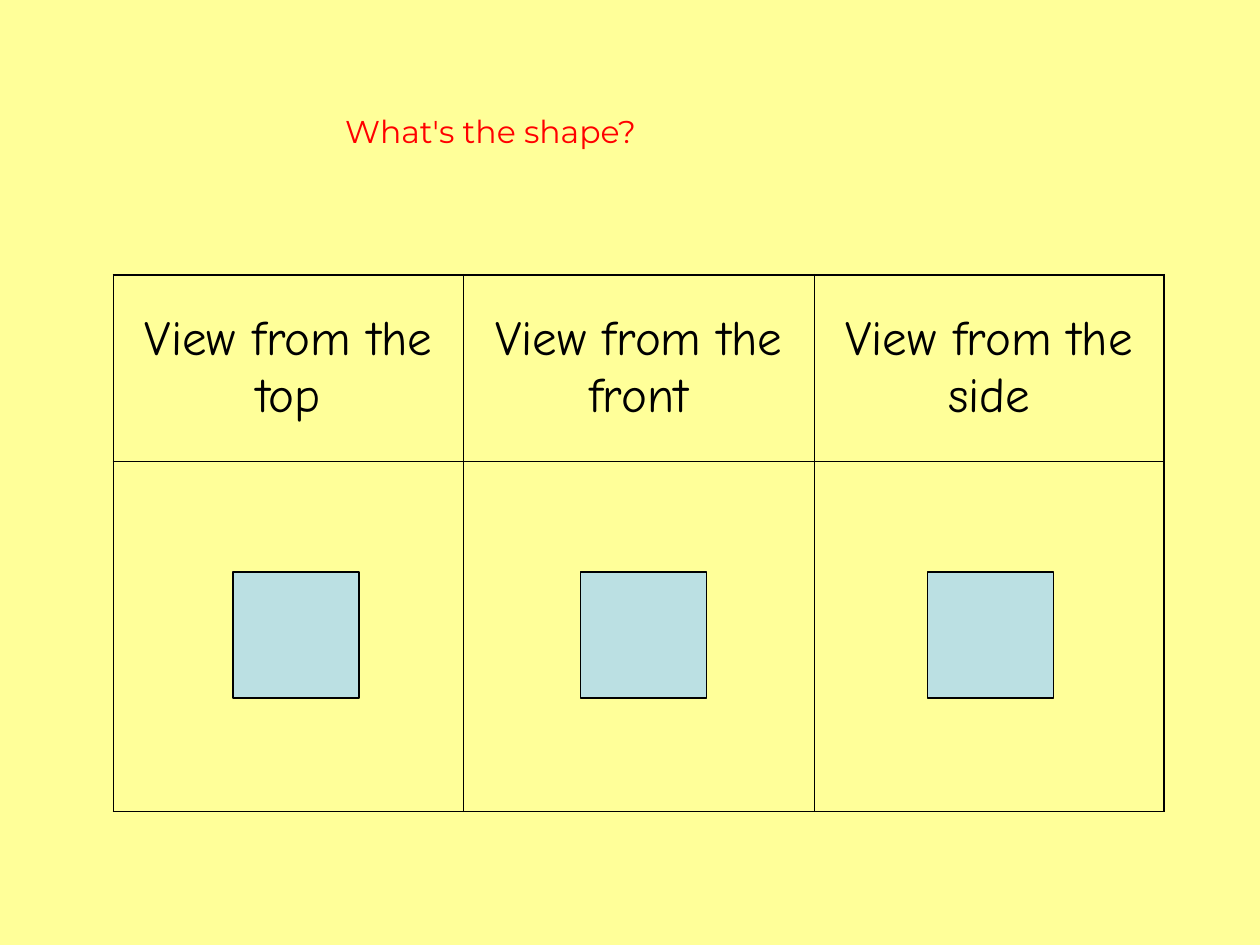
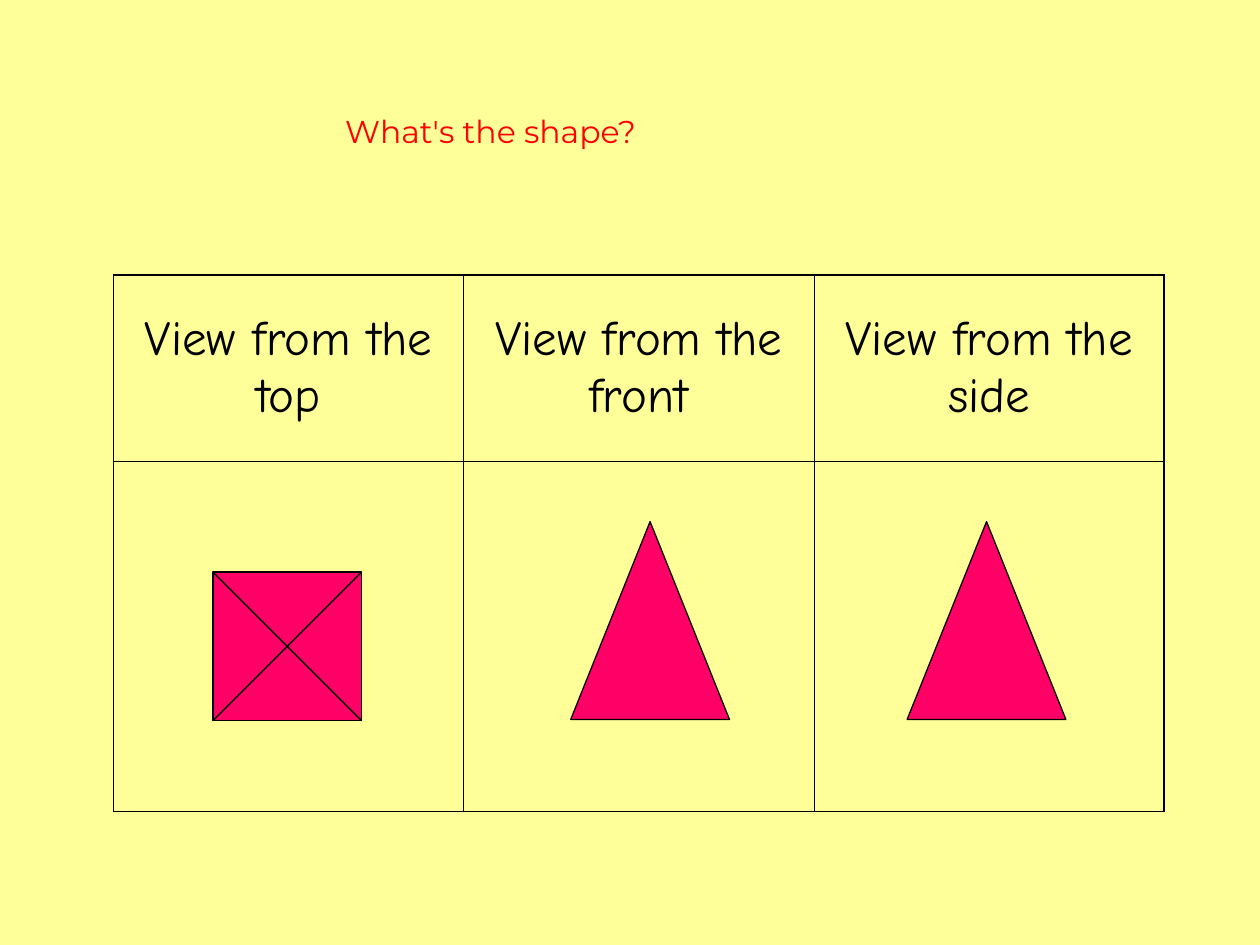
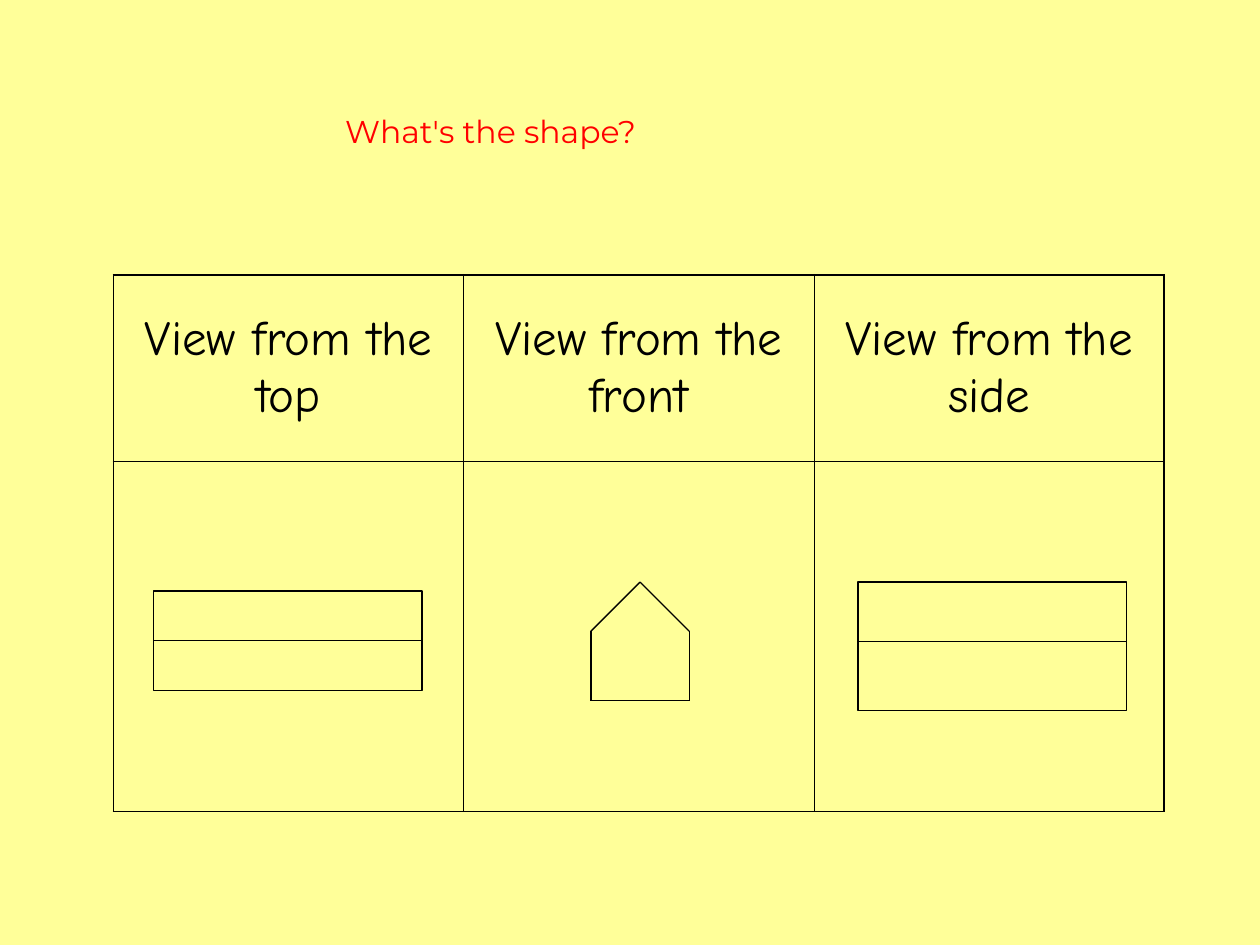
from dataclasses import dataclass
from itertools import pairwise
from typing import Optional

from lxml.etree import SubElement
from pptx import Presentation
from pptx.dml.color import RGBColor as Rgb
from pptx.enum.shapes import MSO_CONNECTOR as Conn, MSO_SHAPE as Kind
from pptx.enum.text import MSO_ANCHOR as Anchor, PP_ALIGN as Align
from pptx.oxml.ns import qn
from pptx.util import Inches, Pt


@dataclass(frozen=True)
class Theme:
    paper: Rgb = Rgb(0xFF, 0xFF, 0x99)
    ink: Rgb = Rgb(0, 0, 0)
    red: Rgb = Rgb(0xFF, 0, 0)
    blue: Rgb = Rgb(0xBB, 0xE0, 0xE3)
    pink: Rgb = Rgb(0xFF, 0, 0x66)
    title_font: str = "Montserrat"
    head_font: str = "Comic Neue"
    title_size: Pt = Pt(18)
    head_size: Pt = Pt(28)
    line: Pt = Pt(0.75)
    outer: Pt = Pt(1.08)
    inner: Pt = Pt(0.45)


THEME = Theme()
Point = tuple[float, float]


@dataclass(frozen=True)
class Face:
    left: float
    top: float
    width: float
    height: float
    fill: Rgb
    kind: Kind = Kind.RECTANGLE


@dataclass(frozen=True)
class Edge:
    start: Point
    end: Point
    host: Optional[int] = None


@dataclass(frozen=True)
class Solid:
    faces: tuple[Face, ...]
    edges: tuple[Edge, ...] = ()
    outline: tuple[Point, ...] = ()


VIEWS = ("top", "front", "side")
COL_WIDTH = 2.78
ROWS = (1.48, 2.78)

CUBE = Solid(tuple(Face(left, 4.54, 1, 1, THEME.blue) for left in (1.85, 4.61, 7.36)))
PYRAMID = Solid(
    faces=(
        Face(1.69, 4.54, 1.18, 1.18, THEME.pink),
        *(Face(left, 4.14, 1.26, 1.57, THEME.pink, Kind.ISOSCELES_TRIANGLE)
          for left in (4.53, 7.2)),
    ),
    edges=(Edge((1.69, 4.54), (2.87, 5.72)), Edge((1.69, 5.72), (2.87, 4.54))),
)
HOUSE = Solid(
    faces=(
        Face(1.22, 4.69, 2.13, 0.79, THEME.paper),
        Face(6.81, 4.62, 2.13, 1.02, THEME.paper),
    ),
    edges=(
        Edge((1.22, 5.09), (3.35, 5.09), host=0),
        Edge((6.81, 5.09), (8.94, 5.09)),
    ),
    outline=(
        (5.39, 5.56), (4.69, 5.56), (4.69, 5.01), (5.08, 4.62),
        (5.47, 5.01), (5.47, 5.56), (5.31, 5.56),
    ),
)


def style(font, name: str, size: Pt, color: Rgb) -> None:
    font.name = name
    font.size = size
    font.color.rgb = color


def add_title(slide) -> None:
    box = slide.shapes.add_textbox(Inches(2.64), Inches(0.84), Inches(4.68), Inches(0.71))
    frame = box.text_frame
    frame.word_wrap = False
    frame.text = "What's the shape?"
    style(frame.paragraphs[0].runs[0].font, THEME.title_font, THEME.title_size, THEME.red)


def set_border(cell, sides: dict[str, Pt]) -> None:
    props = cell._tc.get_or_add_tcPr()
    for spot, (side, width) in enumerate(sides.items()):
        line = SubElement(props, qn(f"a:ln{side}"), w=str(int(width)))
        fill = SubElement(line, qn("a:solidFill"))
        SubElement(fill, qn("a:srgbClr"), val=str(THEME.ink))
        props.insert(spot, line)


def add_grid(slide) -> None:
    cols = len(VIEWS)
    grid = slide.shapes.add_table(
        len(ROWS), cols, Inches(0.9), Inches(2.18),
        Inches(COL_WIDTH * cols), Inches(sum(ROWS)),
    ).table
    grid.first_row = False
    grid.horz_banding = False
    for col in grid.columns:
        col.width = Inches(COL_WIDTH)
    for row, (line, height) in enumerate(zip(grid.rows, ROWS)):
        line.height = Inches(height)
        for col, cell in enumerate(line.cells):
            cell.fill.background()
            rims = {"L": col == 0, "R": col == cols - 1,
                    "T": row == 0, "B": row == len(ROWS) - 1}
            set_border(cell, {side: THEME.outer if rim else THEME.inner
                              for side, rim in rims.items()})
    for cell, view in zip(grid.rows[0].cells, VIEWS):
        cell.vertical_anchor = Anchor.MIDDLE
        cell.text_frame.text = f"View from the {view}"
        para = cell.text_frame.paragraphs[0]
        para.alignment = Align.CENTER
        style(para.runs[0].font, THEME.head_font, THEME.head_size, THEME.ink)


def set_line(line) -> None:
    line.color.rgb = THEME.ink
    line.width = THEME.line


def add_face(shapes, face: Face):
    shape = shapes.add_shape(
        face.kind, Inches(face.left), Inches(face.top),
        Inches(face.width), Inches(face.height),
    )
    shape.shadow.inherit = False
    shape.fill.solid()
    shape.fill.fore_color.rgb = face.fill
    set_line(shape.line)
    return shape


def add_edge(shapes, start: Point, end: Point):
    edge = shapes.add_connector(Conn.STRAIGHT, *(Inches(n) for n in (*start, *end)))
    set_line(edge.line)
    SubElement(edge._element.spPr, qn("a:effectLst"))
    return edge


def add_solid(slide, solid: Solid) -> None:
    faces = [add_face(slide.shapes, face) for face in solid.faces]
    for edge in solid.edges:
        line = add_edge(slide.shapes, edge.start, edge.end)
        if edge.host is not None:
            line.begin_connect(faces[edge.host], 1)
            line.end_connect(faces[edge.host], 3)
    if solid.outline:
        group = slide.shapes.add_group_shape()
        for start, end in pairwise(solid.outline):
            add_edge(group.shapes, start, end)


def main() -> None:
    deck = Presentation()
    deck.slide_width = Inches(10)
    deck.slide_height = Inches(7.5)
    for solid in (CUBE, PYRAMID, HOUSE):
        slide = deck.slides.add_slide(deck.slide_layouts[6])
        slide.background.fill.solid()
        slide.background.fill.fore_color.rgb = THEME.paper
        add_grid(slide)
        add_title(slide)
        add_solid(slide, solid)
    deck.save("out.pptx")


if __name__ == "__main__":
    main()
